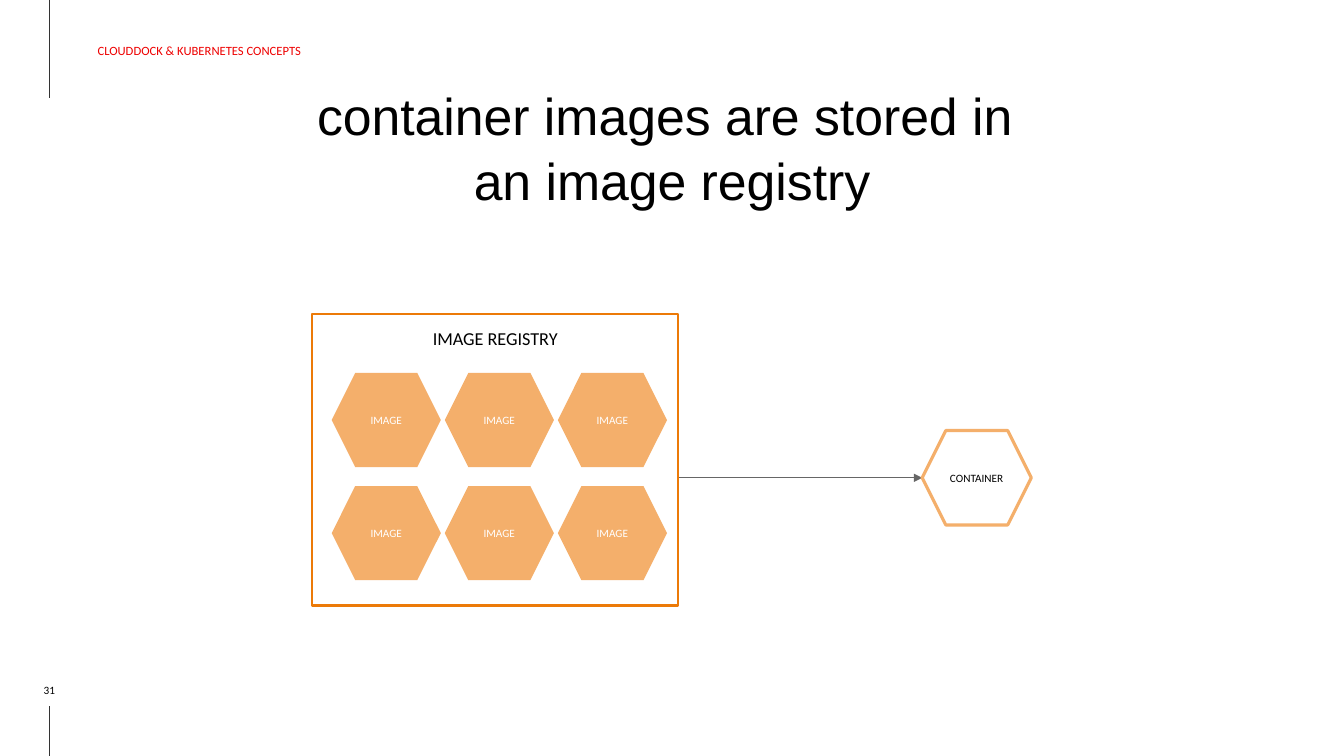
from dataclasses import dataclass
from itertools import product
from typing import Optional

from lxml.etree import SubElement
from pptx import Presentation
from pptx.dml.color import RGBColor
from pptx.enum.shapes import MSO_CONNECTOR, MSO_SHAPE
from pptx.enum.text import MSO_ANCHOR, PP_ALIGN
from pptx.oxml.ns import qn
from pptx.util import Cm, Pt

COLORS = {
    "header": "EE0000", "text": "000000", "margin": "333333",
    "registry": "EC7A08", "image": "F4AF6B", "arrow": "666666", "white": "FFFFFF",
}


@dataclass
class Label:
    text: str
    size: float
    color: str = "text"
    font: str = "Calibri"
    align: PP_ALIGN = PP_ALIGN.CENTER
    anchor: MSO_ANCHOR = MSO_ANCHOR.MIDDLE
    inset: float = 0
    left_inset: Optional[float] = None
    spacing: float = 1.0


@dataclass
class Block:
    left: float
    top: float
    width: float
    height: float
    label: Label
    kind: Optional[MSO_SHAPE] = None  # None makes a text box
    fill: Optional[str] = None
    line: Optional[str] = None
    line_width: float = 0


@dataclass
class Rule:
    x1: float
    y1: float
    x2: float
    y2: float
    color: str
    arrow: bool = False


def rgb(name: str) -> RGBColor:
    return RGBColor.from_string(COLORS[name])


def write_label(frame, label: Label) -> None:
    left = label.inset if label.left_inset is None else label.left_inset
    frame_format = {
        "word_wrap": True, "vertical_anchor": label.anchor,
        "margin_left": Cm(left), "margin_right": Cm(label.inset),
        "margin_top": Cm(label.inset), "margin_bottom": Cm(label.inset),
    }
    for name, value in frame_format.items():
        setattr(frame, name, value)
    paragraph = frame.paragraphs[0]
    paragraph.text = label.text
    paragraph.alignment = label.align
    paragraph.line_spacing = label.spacing
    for run in paragraph.runs:
        for name, value in {"name": label.font, "size": Pt(label.size)}.items():
            setattr(run.font, name, value)
        run.font.color.rgb = rgb(label.color)


def draw_block(slide, block: Block) -> None:
    area = [Cm(v) for v in (block.left, block.top, block.width, block.height)]
    if block.kind is None:
        shape = slide.shapes.add_textbox(*area)
    else:
        shape = slide.shapes.add_shape(block.kind, *area)
        shape.shadow.inherit = False
        if block.fill:
            shape.fill.solid()
            shape.fill.fore_color.rgb = rgb(block.fill)
        else:
            shape.fill.background()
        if block.line:
            shape.line.color.rgb = rgb(block.line)
            shape.line.width = Pt(block.line_width)
        else:
            shape.line.fill.background()
    write_label(shape.text_frame, block.label)


def draw_rule(slide, rule: Rule) -> None:
    ends = [Cm(v) for v in (rule.x1, rule.y1, rule.x2, rule.y2)]
    connector = slide.shapes.add_connector(MSO_CONNECTOR.STRAIGHT, *ends)
    connector.line.color.rgb = rgb(rule.color)
    connector.line.width = Pt(0.75)
    if rule.arrow:
        SubElement(connector.line._ln, qn("a:tailEnd"), type="triangle")
    SubElement(connector._element.spPr, qn("a:effectLst"))


# Page furniture
MARGIN_X = 1.24
HEADER = Block(MARGIN_X, 0.15, 14.3, 2.26, Label(
    "CLOUDDOCK & KUBERNETES CONCEPTS", 9, "header",
    align=PP_ALIGN.LEFT, inset=0.25, left_inset=1.22))
PAGE_NUMBER = Block(0.23, 17.15, 2.03, 0.41, Label("31", 8, anchor=MSO_ANCHOR.BOTTOM))
TITLE = Block(3.07, 1.7, 27.74, 3.94, Label(
    "container images are stored in \van image registry", 37,
    font="Arial", anchor=MSO_ANCHOR.BOTTOM, inset=0.33, spacing=1.04))

# Registry with its grid of images, and the container started from it
REGISTRY = Block(
    7.87, 7.92, 9.22, 7.34,
    Label("IMAGE REGISTRY", 13, anchor=MSO_ANCHOR.TOP, inset=0.33),
    MSO_SHAPE.RECTANGLE, line="registry", line_width=1.5)
CONTAINER = Block(
    23.24, 10.85, 2.75, 2.38, Label("CONTAINER", 8),
    MSO_SHAPE.HEXAGON, "white", "image", 2.25)
IMAGE_PITCH = 2.85
IMAGES = [
    Block(8.36 + column * IMAGE_PITCH, 9.4 + row * IMAGE_PITCH, 2.75, 2.37,
          Label("IMAGE", 8, "white", inset=0.33), MSO_SHAPE.HEXAGON, "image")
    for row, column in product(range(2), range(3))
]
FLOW_Y = CONTAINER.top + CONTAINER.height / 2
RULES = [
    Rule(MARGIN_X, 2.46, MARGIN_X, 0, "margin"),
    Rule(MARGIN_X, 19.05, MARGIN_X, 17.78, "margin"),
    Rule(REGISTRY.left + REGISTRY.width, FLOW_Y, CONTAINER.left, FLOW_Y, "arrow", True),
]


def main() -> None:
    deck = Presentation()
    deck.slide_width, deck.slide_height = Cm(33.87), Cm(19.05)
    slide = deck.slides.add_slide(deck.slide_layouts[6])
    for rule in RULES:
        draw_rule(slide, rule)
    for block in [HEADER, PAGE_NUMBER, REGISTRY, TITLE, CONTAINER, *IMAGES]:
        draw_block(slide, block)
    deck.save("out.pptx")


if __name__ == "__main__":
    main()
